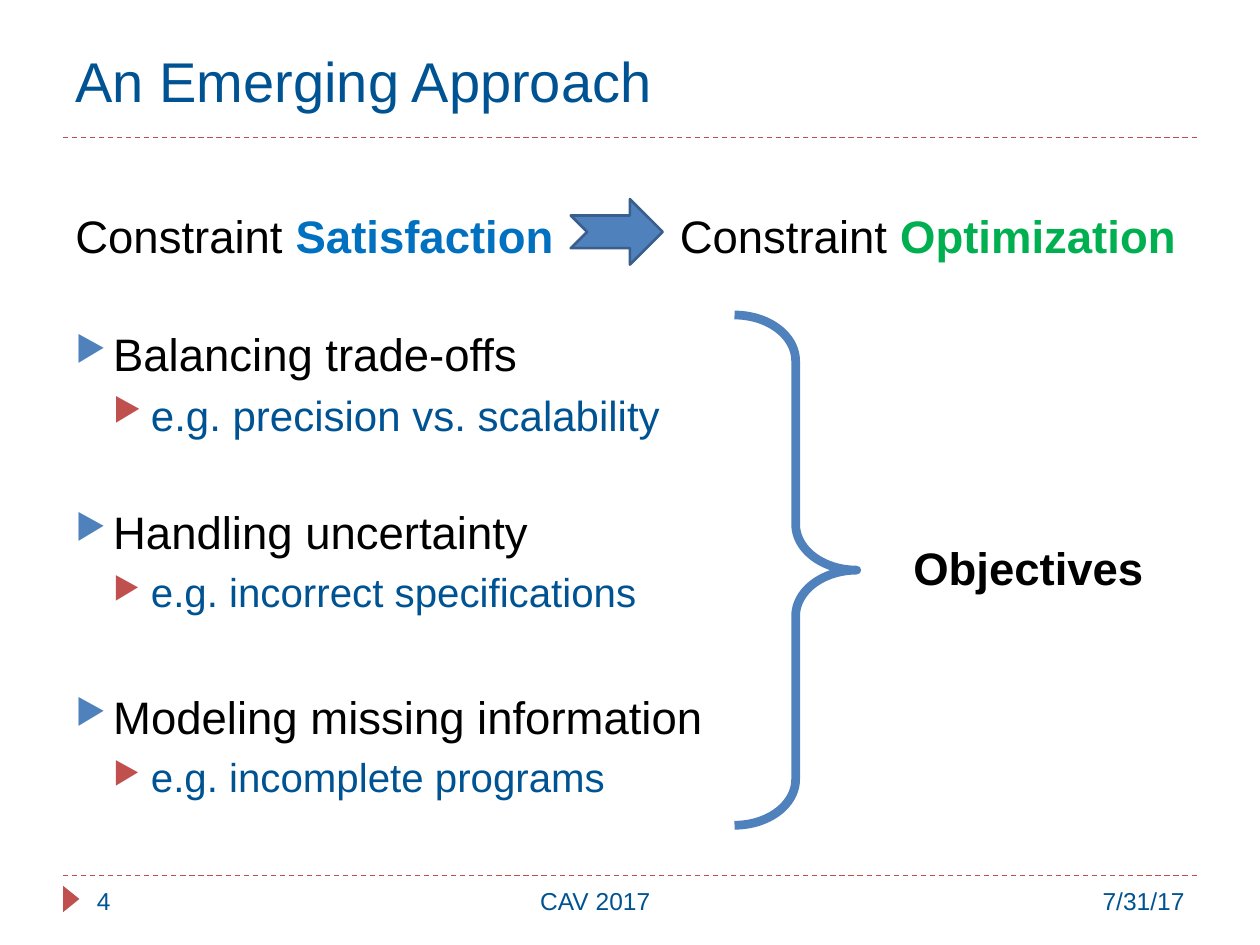
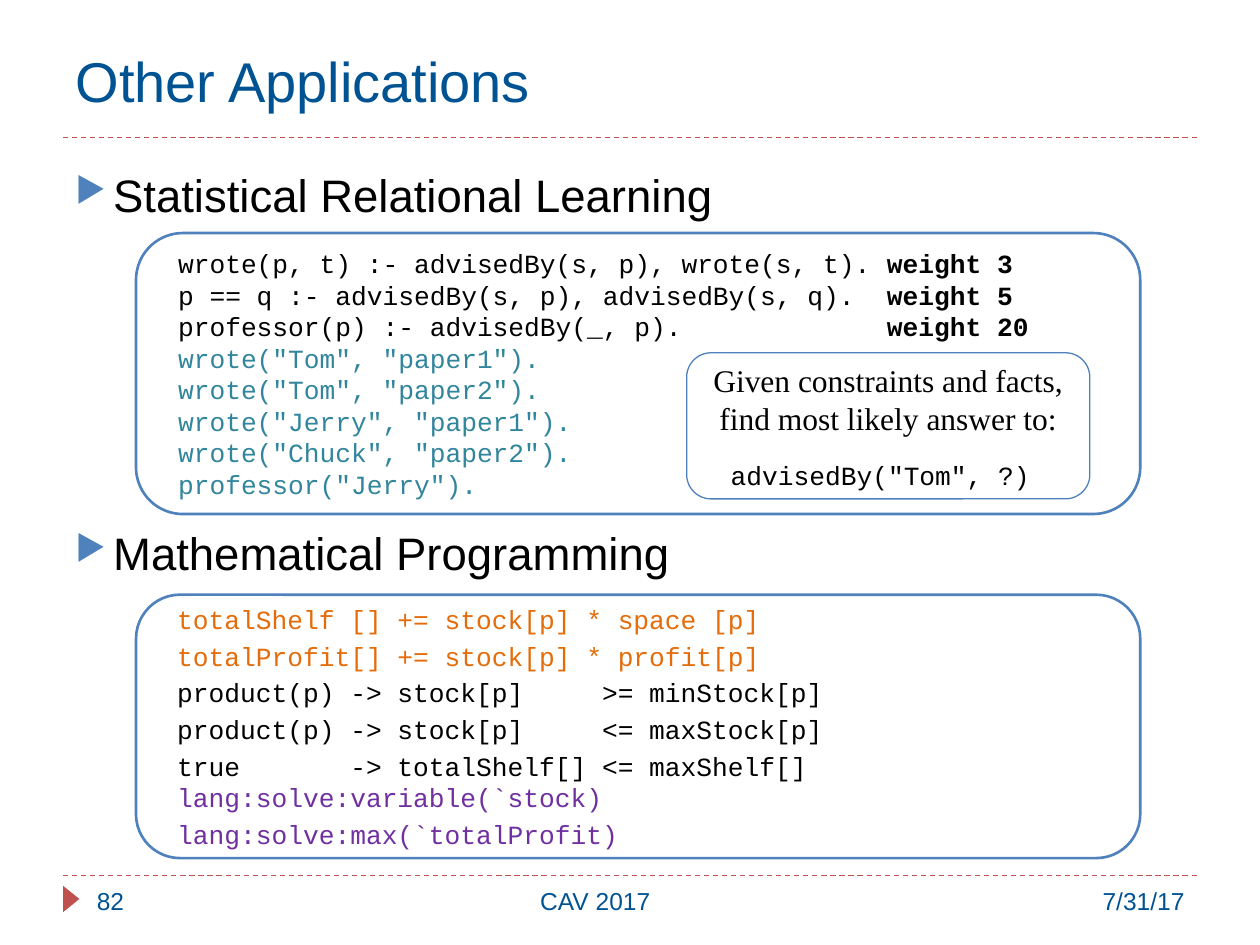
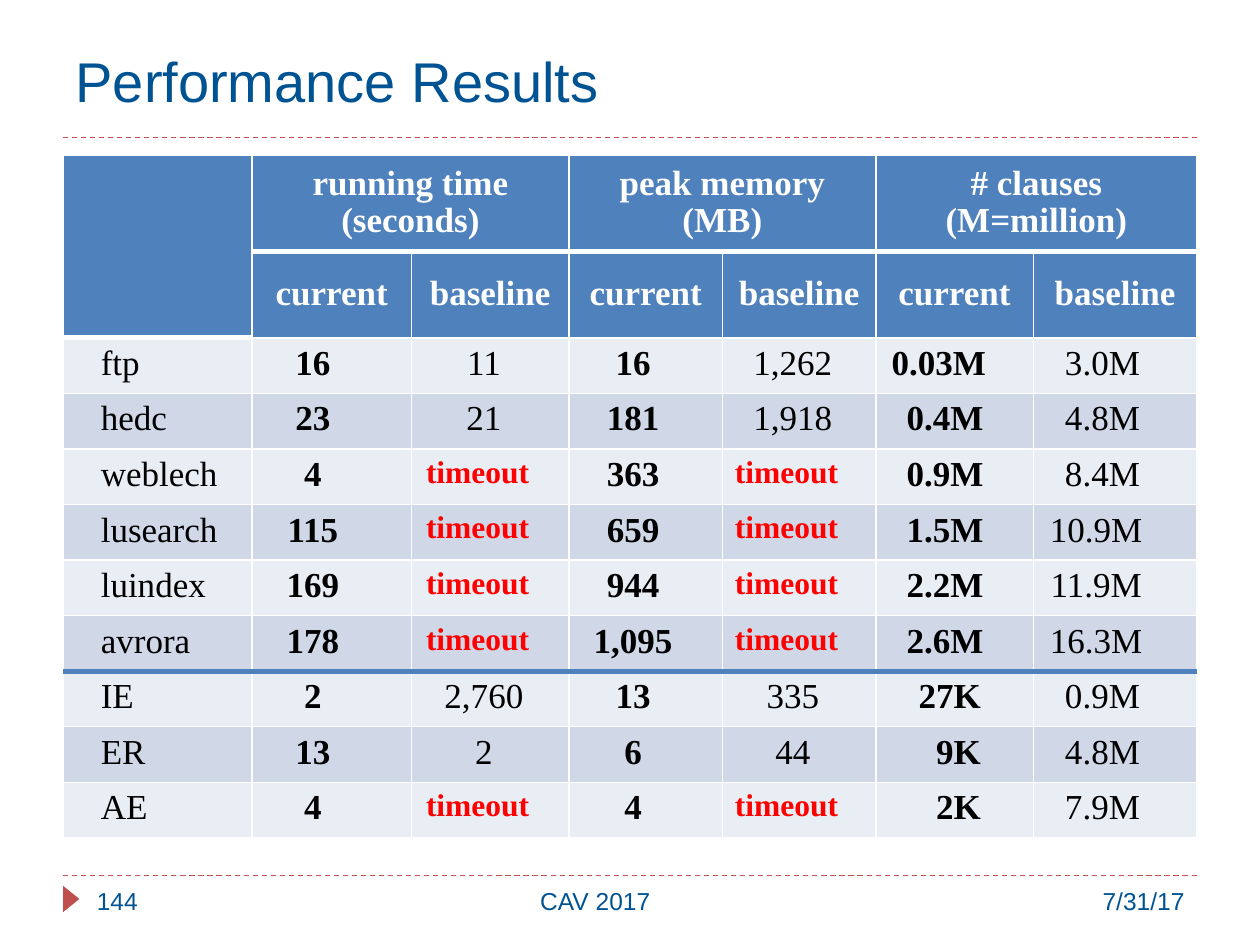
"""Build three talk slides: an approach, its applications and its results."""
from lxml import etree
from pptx import Presentation
from pptx.dml.color import RGBColor
from pptx.enum import dml, shapes, text
from pptx.oxml import ns
from pptx.util import Pt

NAVY = RGBColor(0x00, 0x53, 0x92)
BLUE = RGBColor(0x4F, 0x81, 0xBD)
EDGE = RGBColor(0x3A, 0x5F, 0x8C)
RED = RGBColor(0xC0, 0x50, 0x4D)
BLACK = RGBColor(0x00, 0x00, 0x00)
WHITE = RGBColor(0xFF, 0xFF, 0xFF)
SKY = RGBColor(0x00, 0x70, 0xC0)
GREEN = RGBColor(0x00, 0xB0, 0x50)
TEAL = RGBColor(0x31, 0x85, 0x9C)
ORANGE = RGBColor(0xE4, 0x6C, 0x0A)
PURPLE = RGBColor(0x70, 0x30, 0xA0)
ALERT = RGBColor(0xFF, 0x00, 0x00)
PALE = RGBColor(0xE9, 0xED, 0xF4)
DUSK = RGBColor(0xD0, 0xD8, 0xE8)

SANS, SERIF, MONO = "Arial", "Times New Roman", "Courier New"
LEFT, MID, RIGHT = text.PP_ALIGN.LEFT, text.PP_ALIGN.CENTER, text.PP_ALIGN.RIGHT
FORM = shapes.MSO_SHAPE


def box(slide, kind, at, fill=None, edge=None, width=0):
    """Add a preset shape, or a wrapping text box when kind is None."""
    place = [Pt(n) for n in at]
    if kind is None:
        item = slide.shapes.add_textbox(*place)
        item.text_frame.word_wrap = True
        return item
    item = slide.shapes.add_shape(kind, *place)
    item.shadow.inherit = False
    if fill is None:
        item.fill.background()
    else:
        item.fill.solid()
        item.fill.fore_color.rgb = fill
    if edge is None:
        item.line.fill.background()
    else:
        item.line.color.rgb = edge
        item.line.width = Pt(width)
    return item


def para(frame, runs, size, font, align=LEFT, before=0, level=None, tab=None, lead=None):
    """Add one paragraph of (text, colour, bold) runs; a level gives it a bullet."""
    line = frame.paragraphs[0]
    if line.runs:
        line = frame.add_paragraph()
    props = line._p.get_or_add_pPr()
    if level is not None:
        props.set("marL", str(Pt(21.6 * (level + 1))))
        props.set("indent", str(Pt(-21.6)))
        tint = etree.SubElement(props, ns.qn("a:buClr"))
        etree.SubElement(tint, ns.qn("a:srgbClr"), val=str((BLUE, RED)[level]))
        etree.SubElement(props, ns.qn("a:buSzPct"), val="76000")
        etree.SubElement(props, ns.qn("a:buChar"), char="▶")
    if tab:
        stops = etree.SubElement(props, ns.qn("a:tabLst"))
        etree.SubElement(stops, ns.qn("a:tab"), pos=str(Pt(tab)), algn="l")
    line.alignment = align
    line.space_before = Pt(before)
    if lead:
        line.line_spacing = lead
    for words, color, bold in runs:
        run = line.add_run()
        run.text = words
        run.font.name = font
        run.font.size = Pt(size)
        run.font.bold = bold
        run.font.color.rgb = color


deck = Presentation()
deck.slide_width, deck.slide_height = Pt(720), Pt(540)

TITLES = ["An Emerging Approach", "Other Applications", "Performance Results"]
for name in TITLES:
    slide = deck.slides.add_slide(deck.slide_layouts[5])
    title = slide.shapes.title
    title.left, title.top, title.width, title.height = Pt(36), Pt(12.24), Pt(648), Pt(66.96)
    title.text_frame.vertical_anchor = text.MSO_ANCHOR.MIDDLE
    para(title.text_frame, [(name, NAVY, False)], 32, SANS)
goals, uses, stats = deck.slides

body = box(goals, None, (36, 115.5, 648, 370)).text_frame
shift = [("Constraint ", BLACK, False), ("Satisfaction", SKY, True),
         ("\tConstraint ", BLACK, False), ("Optimization", GREEN, True)]
para(body, shift, 26, SANS, tab=345.4)
POINTS = [
    ("Balancing trade-offs", 36, "e.g. precision vs. scalability", 24),
    ("Handling uncertainty", 37, "e.g. incorrect specifications", 23),
    ("Modeling missing information", 42, "e.g. incomplete programs", 23),
]
for point, gap, detail, size in POINTS:
    para(body, [(point, BLACK, False)], 26, SANS, before=gap, level=0)
    para(body, [(detail, NAVY, False)], size, SANS, before=5, level=1)
brace = box(goals, FORM.RIGHT_BRACE, (419.76, 180, 69.84, 291.6), None, BLUE, 5)
brace.adjustments[0] = 0.376
label = box(goals, None, (514.8, 305.28, 147.6, 38.88)).text_frame
label.word_wrap = False
para(label, [("Objectives", BLACK, True)], 26, SANS)
box(goals, FORM.NOTCHED_RIGHT_ARROW, (326.16, 113.76, 52.56, 37.44), BLUE, EDGE, 1.5)

body = box(uses, None, (36, 92.16, 648, 260)).text_frame
for topic, gap in [("Statistical Relational Learning", 0), ("Mathematical Programming", 173)]:
    para(body, [(topic, BLACK, False)], 26, SANS, before=gap, level=0)

RULES = [
    ("wrote(p, t) :- advisedBy(s, p), wrote(s, t). ", "weight 3"),
    ("p == q :- advisedBy(s, p), advisedBy(s, q).  ", "weight 5"),
    ("professor(p) :- advisedBy(_, p).             ", "weight 20"),
]
FACTS = ['wrote("Tom", "paper1").', 'wrote("Tom", "paper2").', 'wrote("Jerry", "paper1").',
         'wrote("Chuck", "paper2").', 'professor("Jerry").']
MODEL = [
    ("totalShelf [] += stock[p] * space [p]", ORANGE, 0),
    ("totalProfit[] += stock[p] * profit[p]", ORANGE, 3),
    ("product(p) -> stock[p]     >= minStock[p]", BLACK, 3),
    ("product(p) -> stock[p]     <= maxStock[p]", BLACK, 3),
    ("true       -> totalShelf[] <= maxShelf[]", BLACK, 3),
    ("lang:solve:variable(`stock)", PURPLE, 0),
    ("lang:solve:max(`totalProfit)", PURPLE, 3),
]
logic = [([(rule, BLACK, False), (weight, BLACK, True)], 0) for rule, weight in RULES]
logic += [([(fact, TEAL, False)], 0) for fact in FACTS]
model = [([(code, color, False)], gap) for code, color, gap in MODEL]
for top, height, listing in [(133.2, 160.56, logic), (339.84, 150.48, model)]:
    panel = box(uses, FORM.ROUNDED_RECTANGLE, (77.76, top, 573.84, height), None, BLUE, 1.5)
    panel.text_frame.margin_left = Pt(16.2)
    for runs, gap in listing:
        para(panel.text_frame, runs, 15, MONO, before=gap, lead=Pt(18))

query = box(uses, FORM.ROUNDED_RECTANGLE, (392.4, 201.6, 230.4, 83.52), WHITE, BLUE, 0.75)
for words in ["Given constraints and facts,", "find most likely answer to:"]:
    para(query.text_frame, [(words, BLACK, False)], 18, SERIF, MID)
para(query.text_frame, [('advisedBy("Tom", ?) ', BLACK, False)], 15, MONO, MID, before=13)

HEADS = [("running time", "(seconds)"), ("peak memory", "(MB)"), ("# clauses", "(M=million)")]
ROWS = [
    ("ftp", "16", "11", "16", "1,262", "0.03M", "3.0M"),
    ("hedc", "23", "21", "181", "1,918", "0.4M", "4.8M"),
    ("weblech", "4", "timeout", "363", "timeout", "0.9M", "8.4M"),
    ("lusearch", "115", "timeout", "659", "timeout", "1.5M", "10.9M"),
    ("luindex", "169", "timeout", "944", "timeout", "2.2M", "11.9M"),
    ("avrora", "178", "timeout", "1,095", "timeout", "2.6M", "16.3M"),
    ("IE", "2", "2,760", "13", "335", "27K", "0.9M"),
    ("ER", "13", "2", "6", "44", "9K", "4.8M"),
    ("AE", "4", "timeout", "4", "timeout", "2K", "7.9M"),
]
WIDTHS = [108, 91.2, 89.9, 87.8, 87.6, 90, 93.5]
INSETS = [7.2, 28.8, 14.4, 21.6, 14.4, 18, 21.6]
HIGH = [55, 49.5] + [31.75] * len(ROWS)
grid = stats.shapes.add_table(len(HIGH), len(WIDTHS), Pt(36), Pt(88.56),
                              Pt(sum(WIDTHS)), Pt(sum(HIGH))).table
for col, width in zip(grid.columns, WIDTHS):
    col.width = Pt(width)
for row, height in zip(grid.rows, HIGH):
    row.height = Pt(height)
for r in range(len(HIGH)):
    for c in range(len(WIDTHS)):
        cell = grid.cell(r, c)
        thick = {"a:lnT": r == 1 or (r == 2 and c == 0), "a:lnB": r == 0}
        for side in ("a:lnL", "a:lnR", "a:lnT", "a:lnB"):
            width = Pt(3 if thick.get(side) else 1)
            rim = etree.SubElement(cell._tc.get_or_add_tcPr(), ns.qn(side), w=str(width))
            paint = etree.SubElement(rim, ns.qn("a:solidFill"))
            etree.SubElement(paint, ns.qn("a:srgbClr"), val=str(WHITE))
        cell.fill.solid()
        cell.fill.fore_color.rgb = BLUE if r < 2 else (PALE, DUSK)[r % 2]
grid.cell(0, 0).merge(grid.cell(1, 0))
for k, lines in enumerate(HEADS):
    c = 2 * k + 1
    grid.cell(0, c).merge(grid.cell(0, c + 1))
    for cell, words in [(grid.cell(0, c), lines), (grid.cell(1, c), ["current"]),
                        (grid.cell(1, c + 1), ["baseline"])]:
        cell.vertical_anchor = text.MSO_ANCHOR.MIDDLE
        for word in words:
            para(cell.text_frame, [(word, WHITE, True)], 20, SERIF, MID, lead=0.95)
for r, row in enumerate(ROWS, 2):
    for c, value in enumerate(row):
        cell = grid.cell(r, c)
        late = value == "timeout"
        kilo = value.endswith("K")
        wide = late or (value.endswith("M") and len(value) > 4)
        cell.margin_left = Pt(21.6 if c == 0 else 0 if wide else 7.2)
        cell.margin_right = Pt(30 if kilo else INSETS[c])
        align = LEFT if c == 0 else RIGHT if kilo else MID
        look = (value, ALERT if late else BLACK, late or c % 2 == 1)
        para(cell.text_frame, [look], 18 if late else 20, SERIF, align)

bars = [(stats, 383.76, BLUE, 2.5, None)]
for slide, number in zip(deck.slides, ("4", "82", "144")):
    bars += [(slide, y, RED, 0.75, dml.MSO_LINE.DASH) for y in (78.48, 500.4)]
    mark = box(slide, FORM.ISOSCELES_TRIANGLE, (33.12, 509.04, 15.12, 9.36), RED)
    mark.rotation = 90
    for left, width, words, align in [(48.24, 64, number, LEFT), (112.32, 455.76, "CAV 2017", MID),
                                      (504, 180, "7/31/17", RIGHT)]:
        foot = box(slide, None, (left, 502.56, width, 28.8)).text_frame
        para(foot, [(words, NAVY, False)], 14, SANS, align)
for slide, y, color, width, dash in bars:
    bar = slide.shapes.add_connector(shapes.MSO_CONNECTOR.STRAIGHT, Pt(36), Pt(y), Pt(684), Pt(y))
    bar.line.color.rgb = color
    bar.line.width = Pt(width)
    bar.line.dash_style = dash
    etree.SubElement(bar._element.spPr, ns.qn("a:effectLst"))

deck.save("out.pptx")
